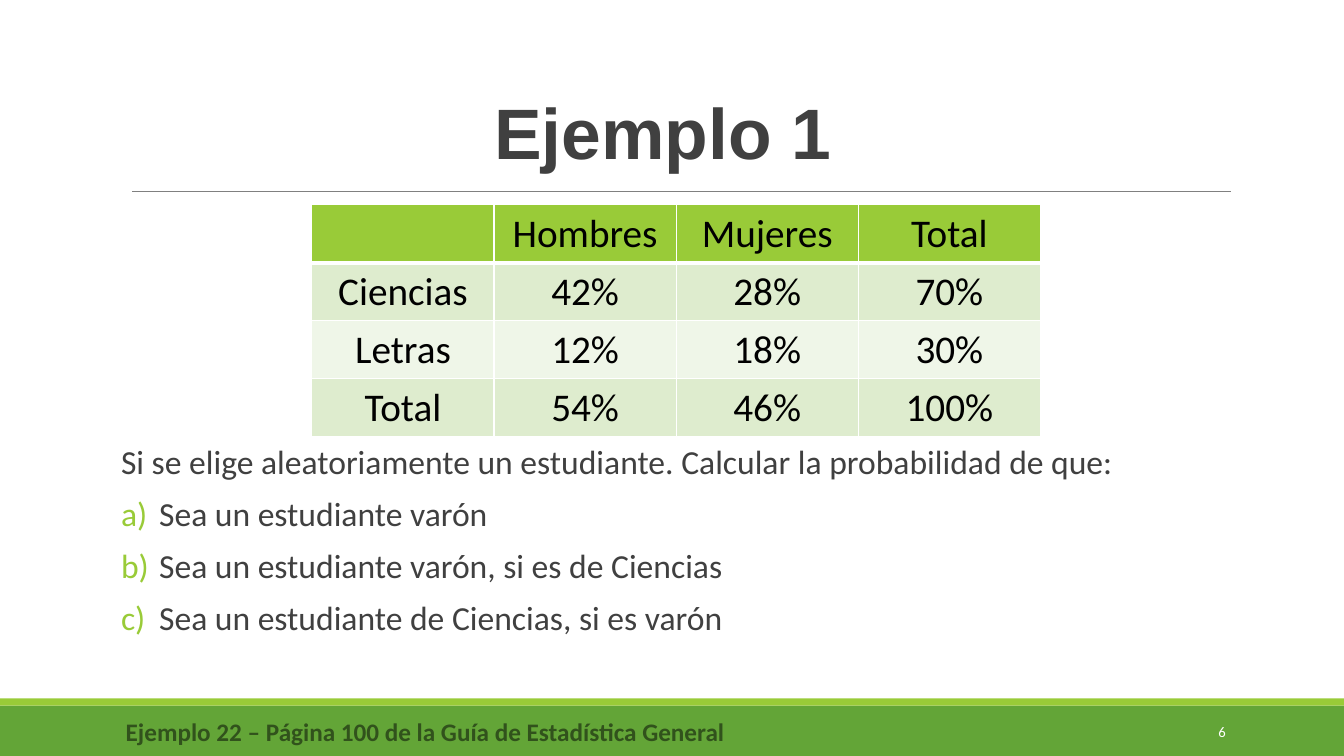
from lxml import etree
from pptx import Presentation
from pptx import util as u
from pptx.dml.color import RGBColor
from pptx.enum import shapes, text
from pptx.oxml import ns

DARK_GREEN = RGBColor(0x63, 0xA5, 0x37)
LIME = RGBColor(0x99, 0xCB, 0x38)
PALE = RGBColor(0xDE, 0xEC, 0xCE)
PALER = RGBColor(0xEF, 0xF6, 0xE8)
GREY = RGBColor(0x80, 0x80, 0x80)
CHARCOAL = RGBColor(0x40, 0x40, 0x40)
FOREST = RGBColor(0x31, 0x52, 0x1C)
BLACK = RGBColor(0, 0, 0)
WHITE = RGBColor(0xFF, 0xFF, 0xFF)

WIDTH, HEIGHT = u.Cm(33.87), u.Cm(19.05)
CENTER, LEFT, RIGHT = text.PP_ALIGN.CENTER, text.PP_ALIGN.LEFT, text.PP_ALIGN.RIGHT

RESULTS = [
    ["", "Hombres", "Mujeres", "Total"],
    ["Ciencias", "42%", "28%", "70%"],
    ["Letras", "12%", "18%", "30%"],
    ["Total", "54%", "46%", "100%"],
]
QUESTION = "Si se elige aleatoriamente un estudiante. Calcular la probabilidad de que:"
EVENTS = [
    "Sea un estudiante varón",
    "Sea un estudiante varón, si es de Ciencias",
    "Sea un estudiante de Ciencias, si es varón",
]


def write(paragraph, words, size, color, font="Calibri", bold=False, align=LEFT,
          spacing=1.0, before=0, after=0):
    run = paragraph.add_run()
    run.text = words
    run.font.size, run.font.name, run.font.bold = u.Pt(size), font, bold
    run.font.color.rgb = color
    paragraph.alignment = align
    paragraph.line_spacing = spacing
    paragraph.space_before, paragraph.space_after = u.Pt(before), u.Pt(after)


def sub(parent, tag, **attributes):
    return etree.SubElement(parent, ns.qn(tag), attributes)


def place(holder, left, top, width, height):
    """Move a placeholder and return its top-anchored text frame."""
    holder.left, holder.top = u.Cm(left), u.Cm(top)
    holder.width, holder.height = u.Cm(width), u.Cm(height)
    frame = holder.text_frame
    frame.auto_size = text.MSO_AUTO_SIZE.NONE
    frame.vertical_anchor = text.MSO_ANCHOR.TOP
    frame.margin_left = frame.margin_right = 0
    return frame


def set_list_marker(paragraph, lettered):
    props = paragraph._p.get_or_add_pPr()
    indent = u.Cm(0.96) if lettered else 0
    props.set("marL", str(indent))
    props.set("indent", str(-indent))
    if lettered:
        sub(sub(props, "a:buClr"), "a:srgbClr", val=str(LIME))
        sub(props, "a:buAutoNum", type="alphaLcParenR")
    else:
        sub(props, "a:buNone")


def add_band(slide, top, height, color):
    band = slide.shapes.add_shape(
        shapes.MSO_SHAPE.RECTANGLE, 0, u.Cm(top), WIDTH, u.Cm(height))
    band.shadow.inherit = False
    band.fill.solid()
    band.fill.fore_color.rgb = color
    band.line.fill.background()


def add_rule(slide, start, end, y):
    rule = slide.shapes.add_connector(
        shapes.MSO_CONNECTOR.STRAIGHT, u.Cm(start), u.Cm(y), u.Cm(end), u.Cm(y))
    rule.line.color.rgb = GREY
    rule.line.width = u.Pt(0.5)
    sub(rule._element.spPr, "a:effectLst")


def add_label(slide, left, width, words, **style):
    label = slide.shapes.add_textbox(u.Cm(left), u.Cm(17.93), u.Cm(width), u.Cm(1.02))
    frame = label.text_frame
    frame.word_wrap = True
    frame.vertical_anchor = text.MSO_ANCHOR.MIDDLE
    write(frame.paragraphs[0], words, **style)


def set_borders(cell, top, bottom):
    props = cell._tc.get_or_add_tcPr()
    for side, points in (("L", 1), ("R", 1), ("T", top), ("B", bottom)):
        border = sub(props, f"a:ln{side}", w=str(u.Pt(points)))
        sub(sub(border, "a:solidFill"), "a:srgbClr", val=str(WHITE))


def add_results(slide, left, top, column_width, row_height):
    rows, columns = len(RESULTS), len(RESULTS[0])
    table = slide.shapes.add_table(
        rows, columns, u.Cm(left), u.Cm(top),
        u.Cm(column_width * columns), u.Cm(row_height * rows)).table
    for r, values in enumerate(RESULTS):
        for c, value in enumerate(values):
            cell = table.cell(r, c)
            set_borders(cell, top=3 if r == 1 else 1, bottom=3 if r == 0 else 1)
            cell.fill.solid()
            cell.fill.fore_color.rgb = LIME if r == 0 else (PALER, PALE)[r % 2]
            if value:
                write(cell.text_frame.paragraphs[0], value, 28, BLACK, align=CENTER)


def main():
    deck = Presentation()
    deck.slide_width, deck.slide_height = WIDTH, HEIGHT
    slide = deck.slides.add_slide(deck.slide_layouts[1])
    title, body = slide.placeholders

    # Footer bands and title rule
    add_band(slide, 17.78, 1.27, DARK_GREEN)
    add_band(slide, 17.6, 0.18, LIME)
    add_rule(slide, 3.33, 31.01, 4.83)

    # Title
    heading = place(title, 3.83, 2.34, 25.76, 2.26)
    write(heading.paragraphs[0], "Ejemplo 1", 51, CHARCOAL, font="Arial", bold=True,
          align=CENTER, spacing=0.9)

    # Contingency table
    add_results(slide, left=7.86, top=5.16, column_width=4.59, row_height=1.46)

    # Question and its lettered events
    statement = place(body, 3.05, 11.18, 27.94, 5.13)
    for number, words in enumerate([QUESTION] + EVENTS):
        paragraph = statement.add_paragraph() if number else statement.paragraphs[0]
        write(paragraph, words, 24, CHARCOAL, spacing=0.8,
              before=12 if number else 0, after=2)
        set_list_marker(paragraph, lettered=number > 0)

    # Footer text
    add_label(slide, 27.51, 3.63, "6", size=10.5, color=WHITE, align=RIGHT)
    add_label(slide, 2.72, 16, "Ejemplo 22 – Página 100 de la Guía de Estadística General",
              size=18, color=FOREST, bold=True, align=CENTER)

    deck.save("out.pptx")


main()
